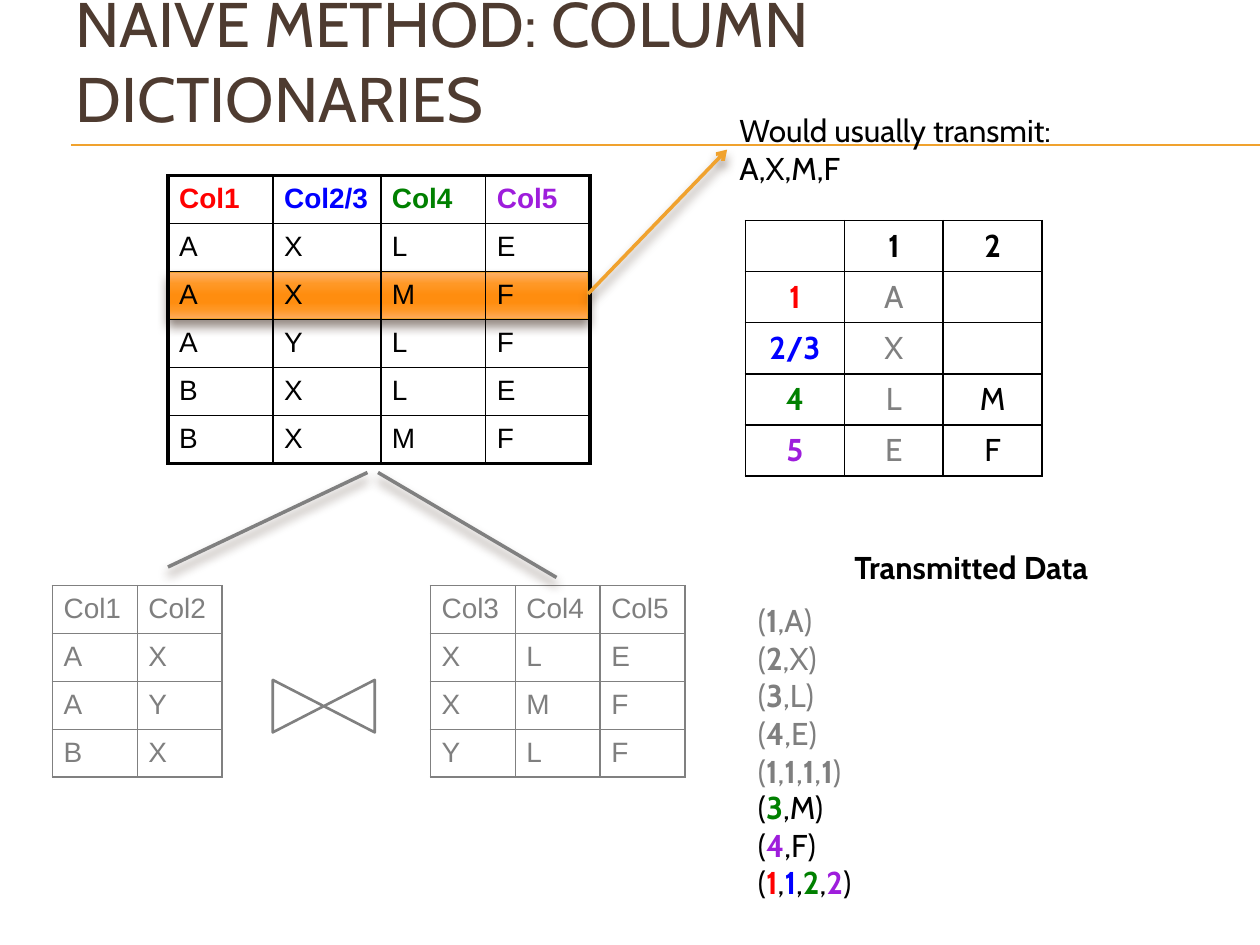
import itertools

import lxml.etree
import pptx
import pptx.dml.color
import pptx.enum.shapes
import pptx.enum.text
import pptx.oxml
import pptx.oxml.ns
import pptx.util

Pt = pptx.util.Pt
CENTER = pptx.enum.text.PP_ALIGN.CENTER
MIDDLE = pptx.enum.text.MSO_ANCHOR.MIDDLE
SHAPES = pptx.enum.shapes.MSO_SHAPE

THEME = {
    "black": "000000", "white": "FFFFFF", "grey": "7F7F7F", "outline": "808080",
    "brown": "4E3B30", "accent": "F0A22E",
    "red": "FF0000", "blue": "0000FF", "green": "008000", "purple": "9E1DDC",
    "glow": [(0, "FFB16A"), (25, "FF9826"), (50, "FF8D0F"),
             (65, "FF8D0F"), (80, "FF9724"), (100, "FFAA5C")],
    "title": {"name": "Cabin", "size": Pt(36)},
    "body": {"name": "Cabin", "size": Pt(18)},
    "grid": {"name": "Arial", "size": Pt(16)},
}

# Content
TITLE = "NAÏVE METHOD: COLUMN DICTIONARIES"
USUAL = ["Would usually transmit:", "A,X,M,F"]
SENT_HEADING = "Transmitted Data"
COLUMN_COLORS = ["red", "blue", "green", "purple"]
JOINED = ["Col1 Col2/3 Col4 Col5", "A X L E", "A X M F", "A Y L F", "B X L E", "B X M F"]
LEFT_SOURCE = ["Col1 Col2", "A X", "A Y", "B X"]
RIGHT_SOURCE = ["Col3 Col4 Col5", "X L E", "X M F", "Y L F"]
DICTIONARY = [["", "1", "2"], ["1", "A", ""], ["2/3", "X", ""], ["4", "L", "M"], ["5", "E", "F"]]
SENT_BEFORE = ["(1,A)", "(2,X)", "(3,L)", "(4,E)", "(1,1,1,1)"]
SENT_NOW = [("(3,M)", ["green"]), ("(4,F)", ["purple"]), ("(1,1,2,2)", COLUMN_COLORS)]

# Layout: left, top, and cell sizes
JOINED_AT, JOINED_COLS = (96, 100.4), [60, 61.6, 60, 59.6]
SOURCE_TOP, SOURCE_COL, GRID_ROW = 334.6, 48.5, 27.4
DICT_AT, DICT_COL, DICT_ROW = (426, 126), 56.5, 29.2
CELL_MARGINS = {"margin_left": Pt(6.4), "margin_right": Pt(6.4)}
ROOF = [((96, 324), (210, 270)), ((216, 270), (318, 330))]

presentation = pptx.Presentation()
presentation.slide_width, presentation.slide_height = Pt(720), Pt(540)
slide = presentation.slides.add_slide(presentation.slide_layouts[6])


def rgb(color):
    return pptx.dml.color.RGBColor.from_string(THEME[color])


def set_all(target, values):
    for name, value in values.items():
        setattr(target, name, value)


def add_xml(parent, tag, **attributes):
    child = lxml.etree.SubElement(parent, pptx.oxml.ns.qn(f"a:{tag}"))
    for key, value in attributes.items():
        child.set(key, str(value))
    return child


def set_effects(shape, shadow):
    effects = add_xml(shape._element.spPr, "effectLst")
    if shadow:
        outer = add_xml(effects, "outerShdw", blurRad=Pt(6), dist=Pt(4),
                        dir=90 * 60000, rotWithShape=0)
        add_xml(add_xml(outer, "srgbClr", val=THEME["brown"]), "alpha", val=60000)


def write(paragraph, runs, font):
    for text, color, bold in runs:
        run = paragraph.add_run()
        run.text = text
        run.font.color.rgb = rgb(color)
        set_all(run.font, {**font, "bold": bold})


def add_text(box, lines, font="body", **paragraph_format):
    frame = slide.shapes.add_textbox(*map(Pt, box)).text_frame
    frame.word_wrap = True
    for index, runs in enumerate(lines):
        paragraph = frame.add_paragraph() if index else frame.paragraphs[0]
        set_all(paragraph, paragraph_format)
        write(paragraph, runs, THEME[font])
    return frame


def tuple_runs(text, color, digit_colors):
    """Split a tuple into runs; its numbers are bold and coloured in turn."""
    colors = iter(digit_colors)
    return [("".join(part), next(colors) if digit else color, digit)
            for digit, part in itertools.groupby(text, str.isdigit)]


def add_line(start, end, color, width, shadow=False, arrow=False):
    line = slide.shapes.add_connector(
        pptx.enum.shapes.MSO_CONNECTOR.STRAIGHT, *map(Pt, (*start, *end)))
    line.line.color.rgb = rgb(color)
    line.line.width = Pt(width)
    if arrow:
        add_xml(line._element.spPr.find(pptx.oxml.ns.qn("a:ln")), "tailEnd", type="arrow")
    set_effects(line, shadow)


def add_shape(kind, box, color, width, shadow=False):
    shape = slide.shapes.add_shape(kind, *map(Pt, box))
    shape.line.color.rgb = rgb(color)
    shape.line.width = Pt(width)
    set_effects(shape, shadow)
    return shape


def add_grid(at, cols, row_height, rows, style, font, border, frame=1, margins={},
             **paragraph_format):
    """Draw a table; style(row, column) gives the colour and weight of a cell."""
    table = slide.shapes.add_table(
        len(rows), len(cols), *map(Pt, (*at, sum(cols), row_height * len(rows)))).table
    table.first_row = table.horz_banding = False
    for column, width in zip(table.columns, cols):
        column.width = Pt(width)
    for r, row in enumerate(rows):
        table.rows[r].height = Pt(row_height)
        for c, text in enumerate(row):
            cell = table.cell(r, c)
            set_all(cell, margins)
            paragraph = cell.text_frame.paragraphs[0]
            set_all(paragraph, paragraph_format)
            if text:
                write(paragraph, [(text, *style(r, c))], THEME[font])
            outer = {"lnL": c == 0, "lnR": c == len(cols) - 1,
                     "lnT": r == 0, "lnB": r == len(rows) - 1}
            properties = cell._tc.get_or_add_tcPr()
            for side, on_frame in outer.items():
                edge = add_xml(properties, side, w=Pt(frame if on_frame else 1))
                add_xml(add_xml(edge, "solidFill"), "srgbClr", val=THEME[border])
            cell.fill.background()


def joined_style(r, c):
    return ("black", False) if r else (COLUMN_COLORS[c], True)


def source_style(r, c):
    return "grey", False


def dictionary_style(r, c):
    if r == 0:
        return "black", True
    return [(COLUMN_COLORS[r - 1], True), ("outline", False), ("black", False)][c]


# Rule under the title
for y in (82.8, 83):
    add_line((40.5, y), (720, y), "accent", 0.75)

# Highlighted row behind the joined table
highlight = add_shape(SHAPES.RECTANGLE, (96, 155.5, 240, 26.6), "accent", 0.79, shadow=True)
highlight.fill.gradient()
highlight.fill.gradient_angle = 270
stops = highlight._element.spPr.find(".//" + pptx.oxml.ns.qn("a:gsLst"))
for stop in list(stops):
    stops.remove(stop)
for position, color in THEME["glow"]:
    add_xml(add_xml(stops, "gs", pos=position * 1000), "srgbClr", val=color)

add_grid(JOINED_AT, JOINED_COLS, GRID_ROW, [row.split() for row in JOINED], joined_style,
         "grid", "black", frame=2.25, margins=CELL_MARGINS, line_spacing=1.04)

# Transmitted data
add_text((402, 309.6, 306, 29), [[(SENT_HEADING, "black", True)]], alignment=CENTER)
add_text((426, 339.8, 282, 117),
         [tuple_runs(text, "grey", itertools.repeat("grey")) for text in SENT_BEFORE])
add_text((426, 446.6, 270, 73),
         [tuple_runs(text, "black", colors) for text, colors in SENT_NOW])

# Callout for the highlighted row
add_line((336, 168), (415.5, 85.5), "accent", 2, shadow=True, arrow=True)
add_text((415.5, 59.8, 274, 51), [[(text, "black", False)] for text in USUAL])

# Title
add_text((36, 0, 648, 68.4), [[(TITLE, "brown", False)]], "title").vertical_anchor = MIDDLE

# Column dictionary
add_grid(DICT_AT, [DICT_COL] * 3, DICT_ROW, DICTIONARY,
         dictionary_style, "body", "black", alignment=CENTER)

# Source tables and the join between them
for left, source in ((246, RIGHT_SOURCE), (30, LEFT_SOURCE)):
    rows = [row.split() for row in source]
    add_grid((left, SOURCE_TOP), [SOURCE_COL] * len(rows[0]), GRID_ROW, rows, source_style,
             "grid", "outline", margins=CELL_MARGINS, line_spacing=1.04)
join = add_shape(SHAPES.FLOWCHART_COLLATE, (170, 374.4, 30, 58.3), "outline", 1.5)
join.rotation = 90
join.fill.solid()
join.fill.fore_color.rgb = rgb("white")
for start, end in ROOF:
    add_line(start, end, "outline", 2, shadow=True)

presentation.save("out.pptx")
